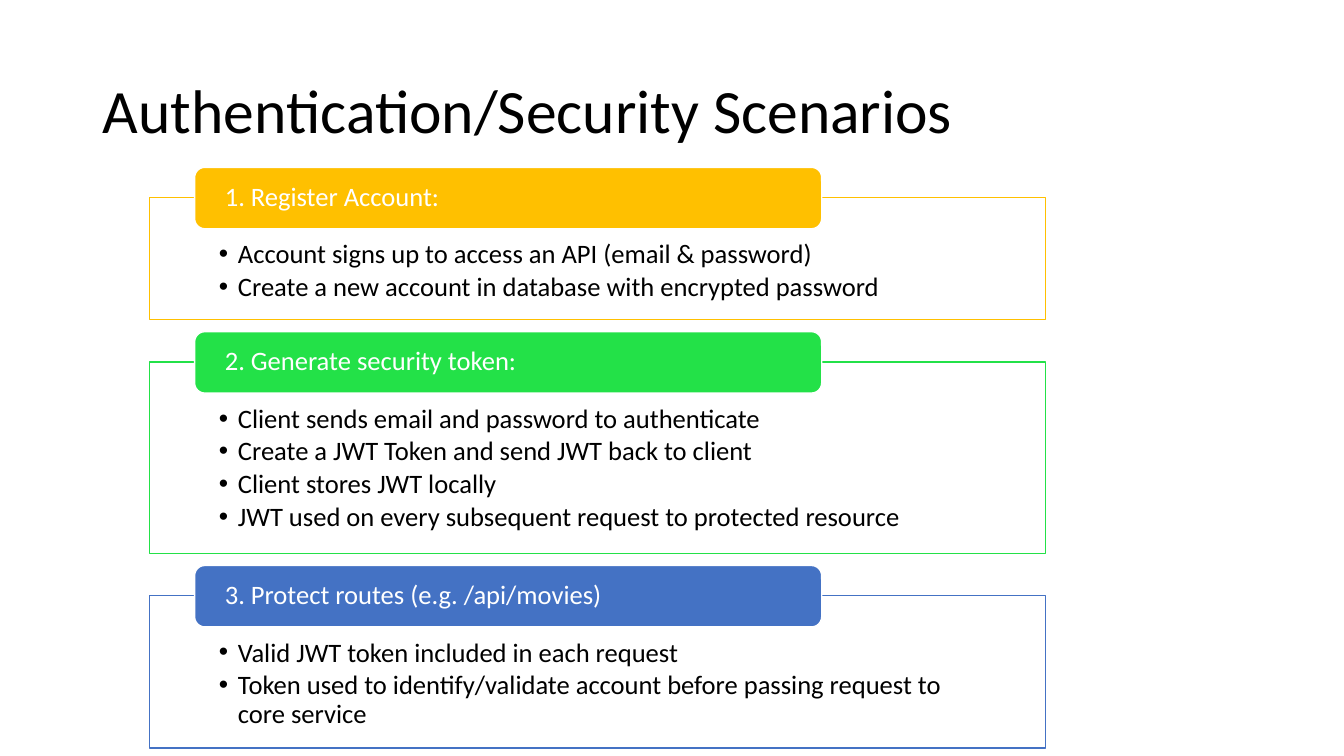
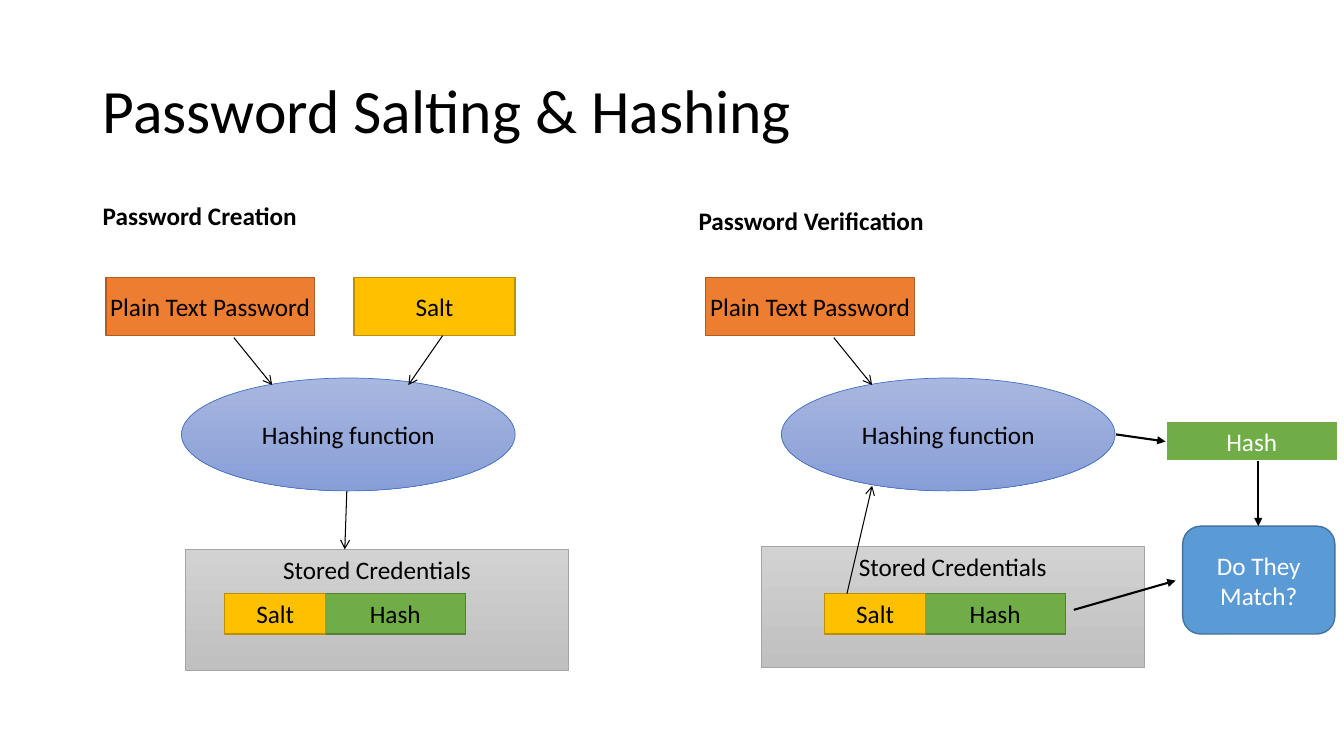
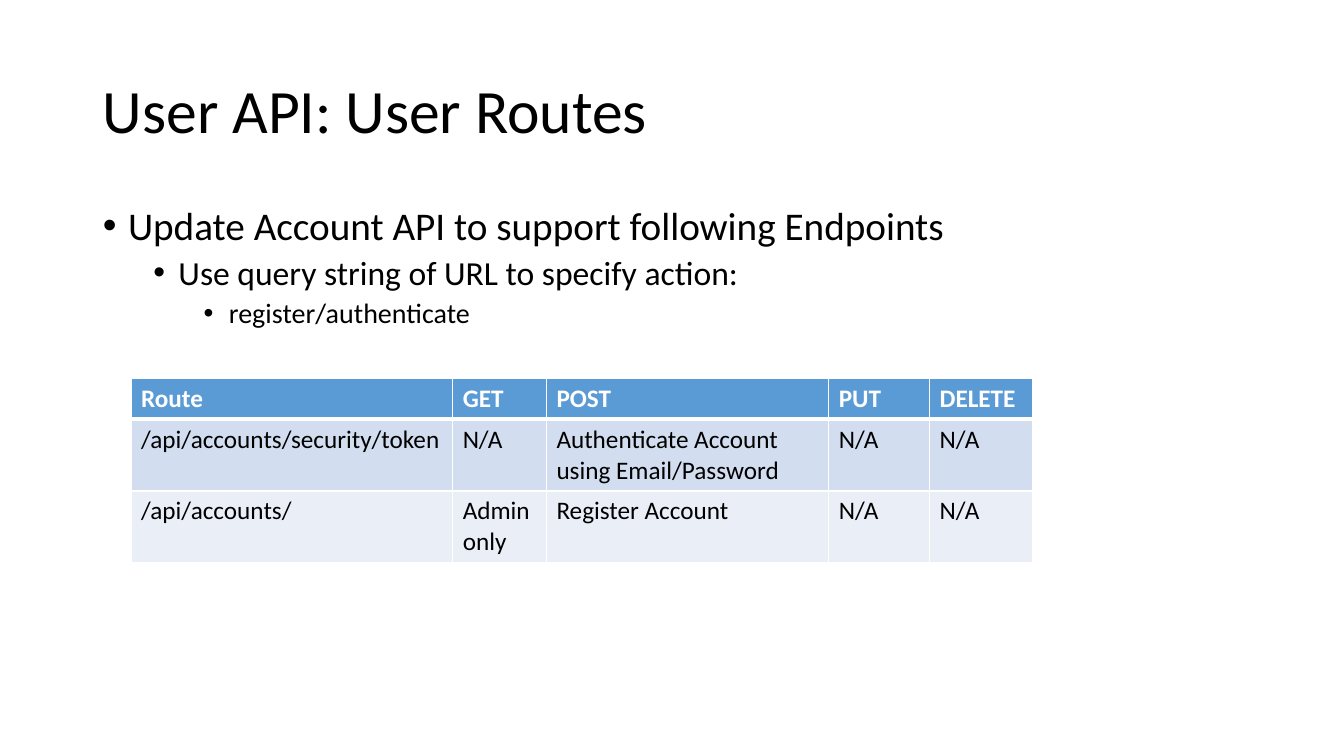
import lxml.etree
import pptx
import pptx.dml.color
import pptx.enum.dml
import pptx.enum.shapes
import pptx.enum.text
import pptx.oxml.ns
import pptx.util

# Shared look
SCALE = 9144  # EMU in one px, 100 px to the inch
FONT = "Calibri"
RGB = pptx.dml.color.RGBColor
BLACK, WHITE = RGB(0, 0, 0), RGB(255, 255, 255)
GOLD, OCHRE = RGB(0xFF, 0xC0, 0x00), RGB(0xBD, 0x8E, 0x00)
LIME, BLUE = RGB(0x23, 0xE1, 0x48), RGB(0x44, 0x72, 0xC4)
ORANGE, RUST = RGB(0xED, 0x7D, 0x31), RGB(0xAF, 0x5C, 0x24)
GREEN, MOSS = RGB(0x70, 0xAD, 0x47), RGB(0x53, 0x80, 0x35)
SKY, STEEL = RGB(0x5B, 0x9B, 0xD5), RGB(0x43, 0x73, 0x9E)
GRAY = RGB(0xA5, 0xA5, 0xA5)
BANDS = [RGB(0xD2, 0xDE, 0xEF), RGB(0xEA, 0xEF, 0xF7)]
HAZE = [RGB(0xA8, 0xB7, 0xDF), RGB(0x88, 0x9E, 0xD7)]
SILVER = [RGB(0xD2, 0xD2, 0xD2), RGB(0xC0, 0xC0, 0xC0)]

KIND = pptx.enum.shapes.MSO_SHAPE
ALIGN = pptx.enum.text.PP_ALIGN
ANCHOR = pptx.enum.text.MSO_ANCHOR
FIT = pptx.enum.text.MSO_AUTO_SIZE
PT = pptx.util.Pt
QN = pptx.oxml.ns.qn


def px(num):
    return pptx.util.Emu(num * SCALE)


def style(item, form):
    for name, value in form.items():
        setattr(item, name, value)


def place(item, box):
    style(item, dict(zip(("left", "top", "width", "height"), map(px, box))))


def add(root, tag, **attrs):
    return lxml.etree.SubElement(root, QN(tag), attrs)


# Text
def write(frame, lines, size=18, color=BLACK, bold=False, form=None):
    for i, line in enumerate(lines):
        para = frame.paragraphs[0] if i == 0 else frame.add_paragraph()
        style(para, form or {})
        run = para.add_run()
        run.text = line
        style(run.font, {"name": FONT, "size": PT(size), "bold": bold})
        run.font.color.rgb = color


def bullet(para, left, hang):
    props = para._p.get_or_add_pPr()
    props.set("marL", str(px(left)))
    props.set("indent", str(px(-hang)))
    add(props, "a:buFont", typeface="Arial")
    add(props, "a:buChar", char="•")


# Shapes
def shape(slide, kind, box, fill, edge, width=1):
    item = slide.shapes.add_shape(kind, *map(px, box))
    item.shadow.inherit = False
    if isinstance(fill, list):
        item.fill.gradient()
        item.fill.gradient_angle = 270
        for stop, color in zip(item.fill.gradient_stops, fill):
            stop.color.rgb = color
    else:
        item.fill.solid()
        item.fill.fore_color.rgb = fill
    item.line.color.rgb = edge
    item.line.width = PT(width)
    return item


def node(slide, text, kind, box, fill, edge, width=1, color=BLACK,
         anchor=ANCHOR.MIDDLE, wrap=False):
    frame = shape(slide, kind, box, fill, edge, width).text_frame
    style(frame, {"word_wrap": wrap, "vertical_anchor": anchor})
    write(frame, [text], color=color, form={"alignment": ALIGN.CENTER})


def arrow(slide, start, end, width=0.75, head="arrow"):
    line = slide.shapes.add_connector(
        pptx.enum.shapes.MSO_CONNECTOR.STRAIGHT, *map(px, start + end))
    line.line.color.rgb = BLACK
    line.line.width = PT(width)
    props = line.element.spPr
    add(props.find(QN("a:ln")), "a:tailEnd", type=head)
    add(props, "a:effectLst")


def page(deck, layout, title):
    slide = deck.slides.add_slide(deck.slide_layouts[layout])
    head = slide.shapes.title
    place(head, (92, 40, 1150, 145))
    style(head.text_frame, {"vertical_anchor": ANCHOR.MIDDLE,
                            "auto_size": FIT.NONE})
    write(head.text_frame, [title], 44,
          form={"alignment": ALIGN.LEFT, "line_spacing": 0.9})
    return slide


# Slide 1: stacked cards, each with a tab on its top edge
CARDS = [
    ("1. Register Account:", GOLD, 121,
     ["Account signs up to access an API (email & password)",
      "Create a new account in database with encrypted password"]),
    ("2. Generate security token:", LIME, 190,
     ["Client sends email and password to authenticate",
      "Create a JWT Token and send JWT back to client",
      "Client stores JWT locally",
      "JWT used on every subsequent request to protected resource"]),
    ("3. Protect routes (e.g. /api/movies)", BLUE, 151,
     ["Valid JWT token included in each request",
      "Token used to identify/validate account before passing request "
      "to core service"]),
]


def card(slide, box, name, color, points):
    x, y, w, h = box
    frame = shape(slide, KIND.RECTANGLE, box, WHITE, color).text_frame
    style(frame, {"word_wrap": True, "vertical_anchor": ANCHOR.TOP,
                  "margin_left": px(69), "margin_right": px(69),
                  "margin_top": px(43), "margin_bottom": px(15)})
    write(frame, points, 19, form={"alignment": ALIGN.LEFT,
                                   "line_spacing": 0.9,
                                   "space_after": PT(2.85)})
    for para in frame.paragraphs:
        bullet(para, 19, 19)
    # Tab
    frame = shape(slide, KIND.ROUNDED_RECTANGLE, (x + 45, y - 30, 622, 61),
                  color, WHITE).text_frame
    style(frame, {"word_wrap": True, "vertical_anchor": ANCHOR.MIDDLE,
                  "margin_left": px(27), "margin_right": px(27),
                  "margin_top": 0, "margin_bottom": 0})
    write(frame, [name], 19, WHITE,
          form={"alignment": ALIGN.LEFT, "line_spacing": 0.9})


def cases(deck):
    slide = page(deck, 5, "Authentication/Security Scenarios")
    top = 196
    for name, color, tall, points in CARDS:
        card(slide, (148, top, 889, tall), name, color, points)
        top += tall + 42


# Slide 2: two hashing flows side by side
def label(slide, text, box):
    frame = slide.shapes.add_textbox(*map(px, box)).text_frame
    frame.word_wrap = True
    write(frame, [text], bold=True)


def flow(slide, x, y, store):
    node(slide, "Plain Text Password", KIND.RECTANGLE, (x, y, 207, 58),
         ORANGE, RUST)
    node(slide, "Hashing function", KIND.OVAL, (x + 75, y + 100, 331, 112),
         HAZE, BLUE, 0.5)
    arrow(slide, (x + 127, y + 60), (x + 165, y + 107))
    # Stored pair
    node(slide, "Stored Credentials", KIND.RECTANGLE,
         (x + store[0], y + store[1], 380, 120), SILVER, GRAY, 0.5,
         anchor=ANCHOR.TOP)
    node(slide, "Hash", KIND.RECTANGLE, (x + 217, y + 314, 140, 40),
         GREEN, MOSS)
    node(slide, "Salt", KIND.RECTANGLE, (x + 118, y + 314, 100, 40),
         GOLD, OCHRE)


def match(slide, x, y):
    node(slide, "Hash", KIND.RECTANGLE, (x, y, 171, 39), GREEN, WHITE, 1.5,
         WHITE, wrap=True)
    node(slide, "Do They Match?", KIND.ROUNDED_RECTANGLE,
         (x + 17, y + 104, 151, 107), SKY, STEEL, 1, WHITE, wrap=True)
    for start, end in [((-91, 187), (10, 158)), ((92, 39), (92, 104)),
                       ((-49, 13), (0, 20))]:
        arrow(slide, (x + start[0], y + start[1]), (x + end[0], y + end[1]),
              1.5, "triangle")


def hashing(deck):
    slide = page(deck, 5, "Password Salting & Hashing")
    label(slide, "Password Creation", (92, 194, 245, 40))
    label(slide, "Password Verification", (683, 199, 260, 40))
    # Creation
    flow(slide, 105, 275, (79, 270))
    node(slide, "Salt", KIND.RECTANGLE, (351, 275, 160, 58), GOLD, OCHRE)
    arrow(slide, (439, 333), (405, 382))
    arrow(slide, (344, 487), (342, 545))
    # Check
    flow(slide, 700, 275, (55, 267))
    arrow(slide, (840, 589), (865, 482))
    match(slide, 1156, 418)


# Slide 3: nested list and route table
POINTS = [("Update Account API to support following Endpoints", 28, 10),
          ("Use query string of URL to specify action:", 24, 5),
          ("register/authenticate", 20, 5)]
ROWS = [
    ["Route", "GET", "POST", "PUT", "DELETE"],
    ["/api/accounts/security/token", "N/A",
     "Authenticate Account using Email/Password", "N/A", "N/A"],
    ["/api/accounts/", "Admin only", "Register Account", "N/A", "N/A"],
]
WIDTHS, TALLS = [319, 93, 280, 100, 102], [41, 71, 71]


def outline(body, box):
    place(body, box)
    frame = body.text_frame
    frame.auto_size = FIT.NONE
    for level, (text, size, gap) in enumerate(POINTS):
        para = frame.paragraphs[0] if level == 0 else frame.add_paragraph()
        style(para, {"level": level, "line_spacing": 0.9,
                     "space_before": PT(gap)})
        bullet(para, 25 + 50 * level, 25)
        run = para.add_run()
        run.text = text
        style(run.font, {"name": FONT, "size": PT(size)})
        run.font.color.rgb = BLACK


def border(cell, row):
    props = cell._tc.get_or_add_tcPr()
    widths = {"L": 1, "R": 1, "T": 3 if row == 1 else 1,
              "B": 3 if row == 0 else 1}
    for side, width in widths.items():
        line = add(props, "a:ln" + side, w=str(PT(width)))
        add(add(line, "a:solidFill"), "a:srgbClr", val=str(WHITE))


def grid(slide, x, y):
    table = slide.shapes.add_table(
        len(ROWS), len(WIDTHS), px(x), px(y),
        px(sum(WIDTHS)), px(sum(TALLS))).table
    for col, wide in zip(table.columns, WIDTHS):
        col.width = px(wide)
    for i, texts in enumerate(ROWS):
        table.rows[i].height = px(TALLS[i])
        for j, text in enumerate(texts):
            cell = table.cell(i, j)
            border(cell, i)
            cell.fill.solid()
            cell.fill.fore_color.rgb = BANDS[i - 1] if i else SKY
            write(cell.text_frame, [text], 18, BLACK if i else WHITE, i == 0)


def routes(deck):
    slide = page(deck, 1, "User API: User Routes")
    outline(slide.placeholders[1], (92, 200, 1150, 476))
    grid(slide, 130, 375)


def main():
    deck = pptx.Presentation()
    style(deck, {"slide_width": pptx.util.Inches(13.33),
                 "slide_height": pptx.util.Inches(7.5)})
    for build in (cases, hashing, routes):
        build(deck)
    deck.save("out.pptx")


if __name__ == "__main__":
    main()
